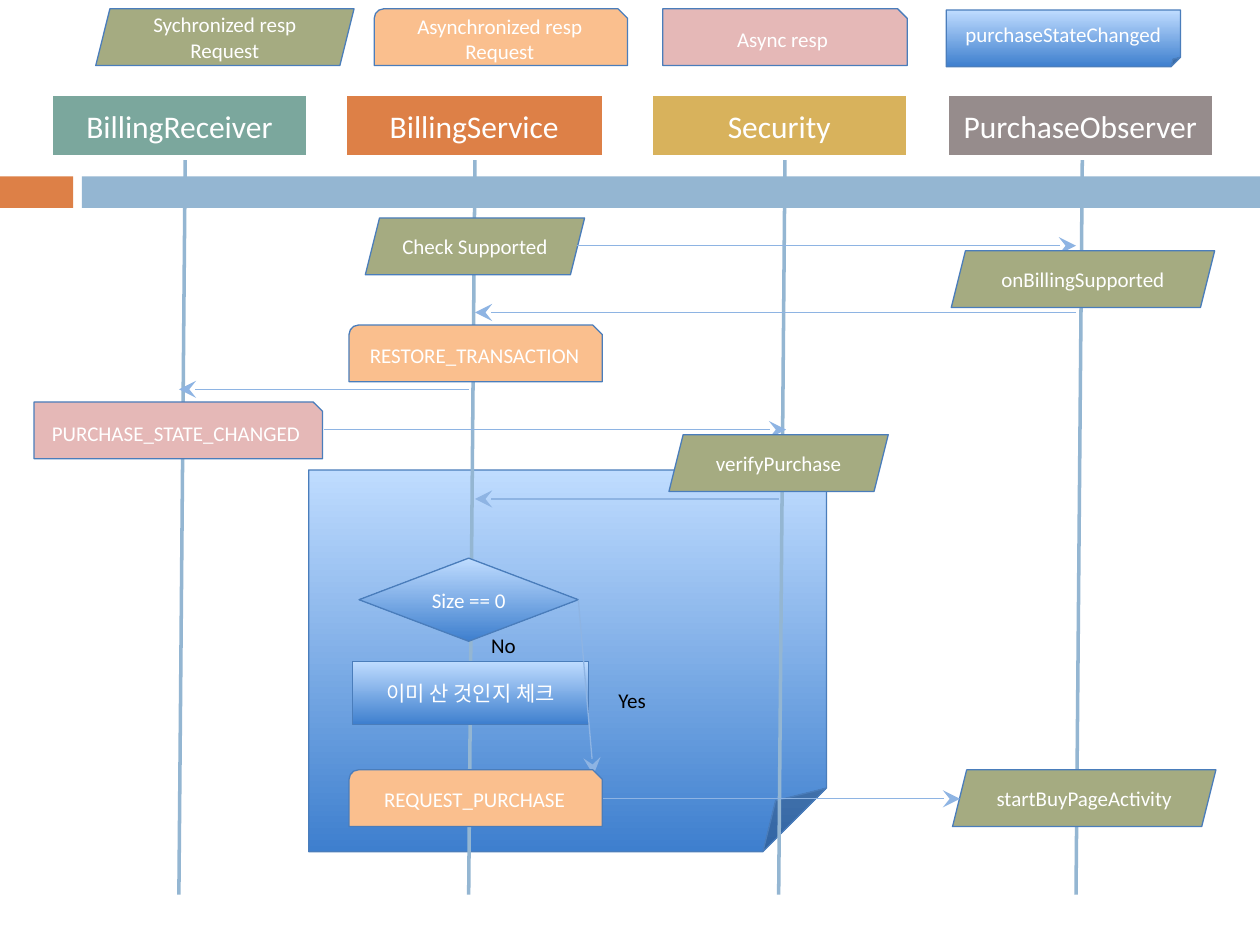
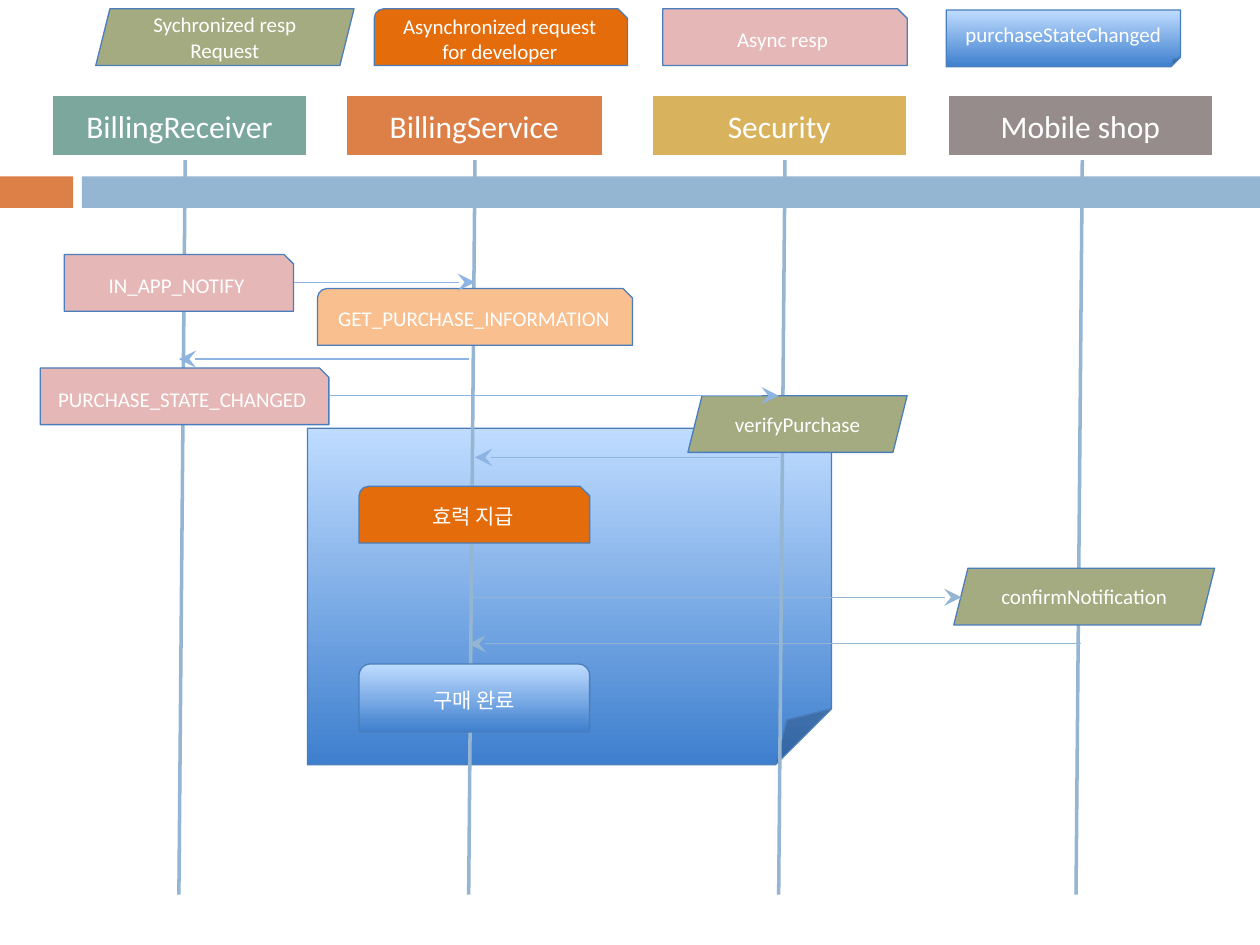
from lxml import etree
from pptx import Presentation
from pptx.dml.color import RGBColor
from pptx.enum.shapes import MSO_CONNECTOR, MSO_SHAPE as Shape
from pptx.enum.text import MSO_ANCHOR, PP_ALIGN
from pptx.oxml.ns import qn
from pptx.util import Inches, Pt

WHITE = RGBColor(0xFF, 0xFF, 0xFF)
BLACK = RGBColor(0x00, 0x00, 0x00)
TEAL = RGBColor(0x7B, 0xA7, 0x9D)
RUST = RGBColor(0xDD, 0x80, 0x47)
GOLD = RGBColor(0xD8, 0xB2, 0x5C)
TAUPE = RGBColor(0x96, 0x8C, 0x8C)
STEEL = RGBColor(0x94, 0xB6, 0xD2)
OLIVE = RGBColor(0xA5, 0xAB, 0x81)
PEACH = RGBColor(0xFA, 0xBF, 0x8E)
ORANGE = RGBColor(0xE4, 0x6C, 0x0A)
PINK = RGBColor(0xE5, 0xB8, 0xB7)
OUTLINE = RGBColor(0x4A, 0x7D, 0xBB)
ARROW = RGBColor(0x8E, 0xB4, 0xE3)
GRADIENT = (RGBColor(0x3E, 0x7F, 0xCE), RGBColor(0xBF, 0xDC, 0xFF))
FONT = "Calibri"

BANDS = [(0, 0.58, RUST), (0.65, 9.35, STEEL)]  # left, width, fill

# Kind of box: preset shape, fill
KINDS = {
    "sync": (Shape.PARALLELOGRAM, OLIVE),
    "async": (Shape.SNIP_ROUND_RECTANGLE, PEACH),
    "developer": (Shape.SNIP_ROUND_RECTANGLE, ORANGE),
    "response": (Shape.SNIP_1_RECTANGLE, PINK),
    "note": (Shape.FOLDED_CORNER, GRADIENT),
    "decision": (Shape.DIAMOND, GRADIENT),
    "check": (Shape.RECTANGLE, GRADIENT),
    "done": (Shape.ROUND_2_SAME_RECTANGLE, GRADIENT),
}

# Left, width, top of the lifeline, fill
LANES = [
    (0.4, 2.05, 1.47, TEAL),
    (2.73, 2.07, 3.77, RUST),
    (5.16, 2.05, 6.23, GOLD),
    (7.51, 2.13, 8.59, TAUPE),
]
HEAD_TOP, HEAD_HEIGHT = 0.74, 0.51
LANE_BOTTOM, LANE_SLANT = 7.1, 0.05
BOX_HEIGHT = 0.45
RECEIVER, SERVICE, SECURITY, OBSERVER = (x - LANE_SLANT for _, _, x, _ in LANES)
SERVICE_TOP = LANES[1][2]

# Legend: left, top, width
LEGEND_PLACES = [(0.76, 0.07, 2.05), (2.97, 0.07, 2.01), (5.26, 0.07, 1.94), (7.51, 0.08, 1.86)]

# Steps run from back to front:
#   box: kind, text, left, top, width[, height]
#   "arrow": from x, from y, to x, to y[, colour]
#   "label": text, left, top
SLIDES = [
    {
        "lanes": ["BillingReceiver", "BillingService", "Security", "PurchaseObserver"],
        "legend": [("sync", "Sychronized resp Request"), ("async", "Asynchronized resp Request"),
                   ("response", "Async resp"), ("note", "purchaseStateChanged")],
        "note": (2.45, 3.73, 4.11, 3.03),
        "steps": [
            ("sync", "Check Supported", 2.9, 1.73, 1.74),
            ("arrow", 4.58, 1.95, OBSERVER, 1.95),
            ("async", "RESTORE_TRANSACTION", 2.77, 2.58, 2.01),
            ("response", "PURCHASE_STATE_CHANGED", 0.27, 3.19, 2.29),
            ("arrow", 2.57, 3.41, 6.24, 3.41),
            ("arrow", SERVICE, 3.09, RECEIVER, 3.09),
            ("arrow", OBSERVER, 2.48, SERVICE_TOP, 2.48),
            ("sync", "onBillingSupported", 7.55, 1.99, 2.09),
            ("sync", "verifyPurchase", 5.31, 3.45, 1.74),
            ("arrow", SECURITY, 3.96, SERVICE_TOP, 3.96),
            ("decision", "Size == 0", 2.85, 4.43, 1.74, 0.66),
            ("check", "이미 산 것인지 체크", 2.8, 5.25, 1.87, 0.5),
            ("arrow", 4.59, 4.76, 4.71, 6.15),
            ("label", "Yes", 4.81, 5.41),
            ("label", "No", 3.8, 4.97),
            ("sync", "startBuyPageActivity", 7.56, 6.11, 2.09),
            ("arrow", 4.77, 6.34, 7.62, 6.34),
            ("async", "REQUEST_PURCHASE", 2.77, 6.11, 2.01),
        ],
    },
    {
        "lanes": ["BillingReceiver", "BillingService", "Security", "Mobile shop"],
        "legend": [("sync", "Sychronized resp Request"),
                   ("developer", "Asynchronized request for developer"),
                   ("response", "Async resp"), ("note", "purchaseStateChanged")],
        "note": (2.44, 3.4, 4.16, 2.67),
        "steps": [
            ("response", "PURCHASE_STATE_CHANGED", 0.32, 2.92, 2.29),
            ("sync", "verifyPurchase", 5.46, 3.14, 1.74),
            ("response", "IN_APP_NOTIFY", 0.51, 2.02, 1.82),
            ("async", "GET_PURCHASE_INFORMATION", 2.52, 2.29, 2.5),
            ("arrow", 2.33, 2.24, SERVICE_TOP, 2.24),
            ("arrow", 2.62, 3.14, SECURITY, 3.14),
            ("arrow", SERVICE, 2.85, RECEIVER, 2.85),
            ("arrow", SECURITY, 3.63, SERVICE_TOP, 3.63),
            ("developer", "효력 지급", 2.85, 3.86, 1.83),
            ("done", "구매 완료", 2.85, 5.27, 1.83, 0.54),
            ("sync", "confirmNotification", 7.57, 4.51, 2.07),
            ("arrow", 3.74, 4.74, 7.63, 4.74, STEEL),
            ("arrow", 8.58, 5.11, SERVICE, 5.11, STEEL),
        ],
    },
]


def write(shape, text, size, color):
    frame = shape.text_frame
    frame.word_wrap = True
    frame.text = text
    font = frame.paragraphs[0].runs[0].font
    font.name, font.size, font.color.rgb = FONT, Pt(size), color


def add_shape(shapes, preset, place, fill, outline=None, outline_width=0.75, text="", size=12):
    """Add a centred preset shape; a pair of colours as fill gives a gradient, bottom to top."""
    shape = shapes.add_shape(preset, *map(Inches, place))
    shape.shadow.inherit = False
    if fill is GRADIENT:
        shape.fill.gradient()
        shape.fill.gradient_angle = 90
        for stop, color in zip(shape.fill.gradient_stops, fill):
            stop.color.rgb = color
    else:
        shape.fill.solid()
        shape.fill.fore_color.rgb = fill
    if outline is None:
        shape.line.fill.background()
    else:
        shape.line.color.rgb = outline
        shape.line.width = Pt(outline_width)
    if text:
        write(shape, text, size, WHITE)
        shape.text_frame.vertical_anchor = MSO_ANCHOR.MIDDLE
        shape.text_frame.paragraphs[0].alignment = PP_ALIGN.CENTER
    return shape


def add_box(slide, kind, text, left, top, width, height=BOX_HEIGHT):
    preset, fill = KINDS[kind]
    return add_shape(slide.shapes, preset, (left, top, width, height), fill, OUTLINE, text=text)


def add_line(shapes, ends, color, width):
    line = shapes.add_connector(MSO_CONNECTOR.STRAIGHT, *map(Inches, ends))
    line.line.color.rgb = color
    line.line.width = Pt(width)
    etree.SubElement(line.element.spPr, qn("a:effectLst"))
    return line


def add_arrow(slide, x1, y1, x2, y2, color=ARROW):
    arrow = add_line(slide.shapes, (x1, y1, x2, y2), color, 0.75)
    outline = arrow.element.spPr.find(qn("a:ln"))
    etree.SubElement(outline, qn("a:tailEnd"), type="stealth", w="lg", len="lg")
    return arrow


def add_label(slide, text, left, top):
    label = slide.shapes.add_textbox(*map(Inches, (left, top, 0.51, 0.33)))
    write(label, text, 12, BLACK)


def add_bands(layout, slide):
    """Draw the bands on a slide and move them to its layout, which all slides share."""
    for left, width, fill in BANDS:
        band = add_shape(slide.shapes, Shape.RECTANGLE, (left, 1.4, width, 0.25), fill)
        layout.shapes.element.append(band.element)


def add_lanes(slide, names):
    for name, (left, width, x, fill) in zip(names, LANES):
        lane = slide.shapes.add_group_shape().shapes
        add_line(lane, (x, HEAD_TOP + HEAD_HEIGHT, x - LANE_SLANT, LANE_BOTTOM), STEEL, 2)
        add_shape(lane, Shape.RECTANGLE, (left, HEAD_TOP, width, HEAD_HEIGHT), fill,
                  WHITE, 3, name, 18)


def add_steps(slide, steps):
    decision = None
    for kind, *values in steps:
        if kind == "label":
            add_label(slide, *values)
        elif kind == "arrow":
            arrow = add_arrow(slide, *values)
            if decision is not None:
                arrow.begin_connect(decision, 3)
                decision = None
        else:
            box = add_box(slide, kind, *values)
            if kind == "decision":
                decision = box


def main():
    presentation = Presentation()
    presentation.slide_width, presentation.slide_height = Inches(10), Inches(7.5)
    layout = presentation.slide_layouts[6]
    for number, content in enumerate(SLIDES):
        slide = presentation.slides.add_slide(layout)
        if number == 0:
            add_bands(layout, slide)
        add_box(slide, "note", "", *content["note"])
        add_lanes(slide, content["lanes"])
        for (kind, text), place in zip(content["legend"], LEGEND_PLACES):
            add_box(slide, kind, text, *place)
        add_steps(slide, content["steps"])
    presentation.save("out.pptx")


if __name__ == "__main__":
    main()
